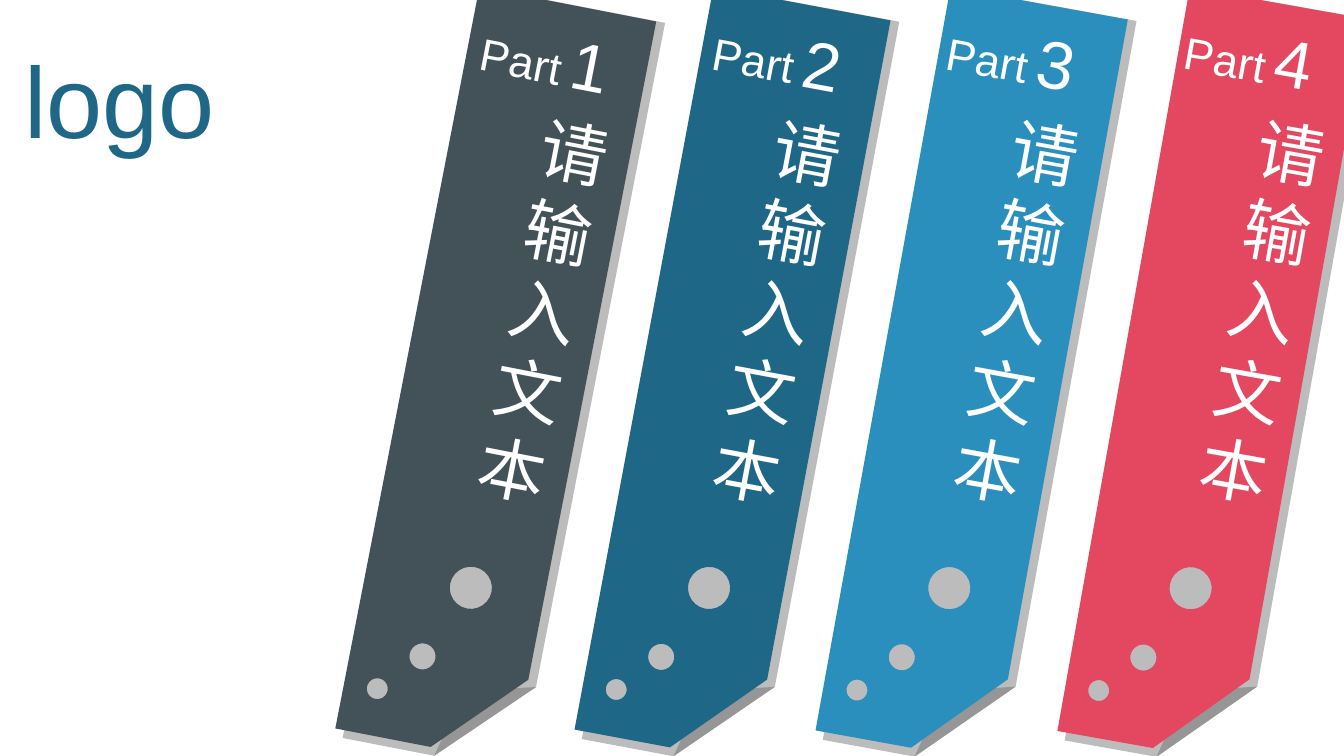
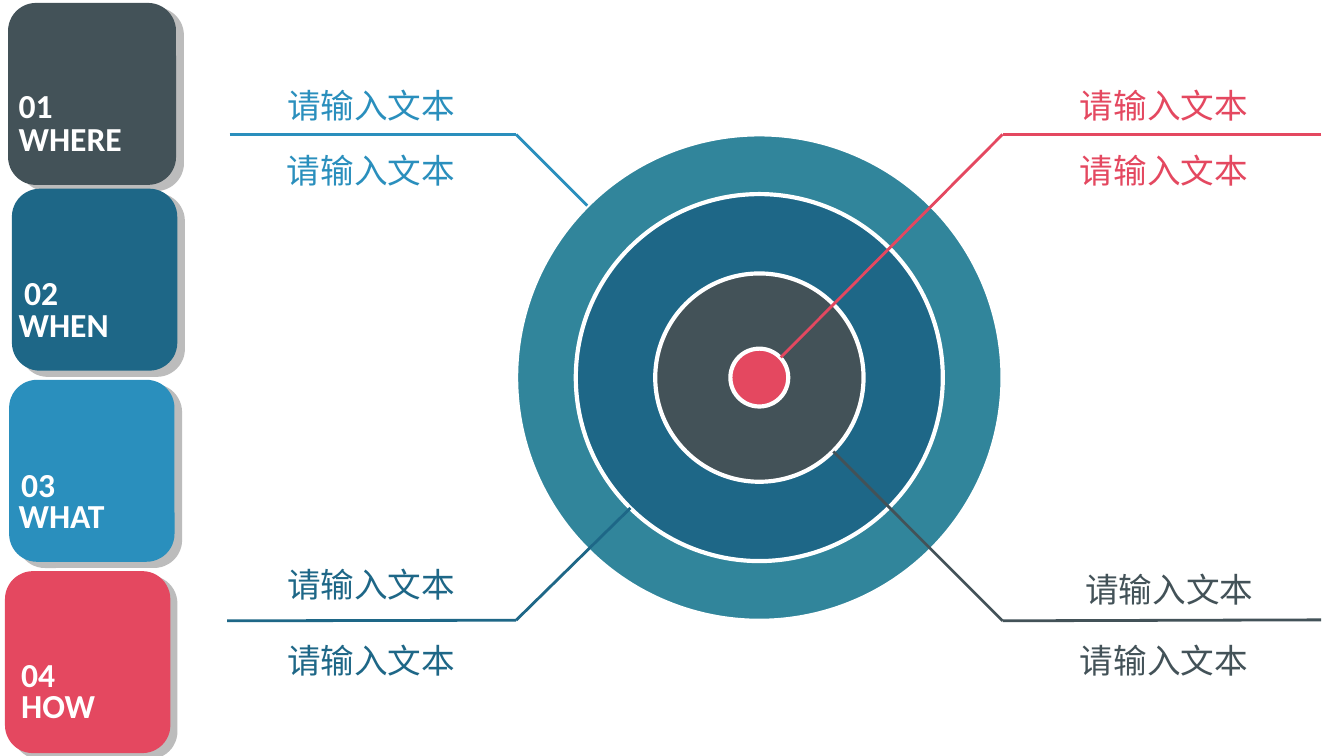
from dataclasses import dataclass
from itertools import pairwise
from typing import Any

import lxml.etree
import pptx
import pptx.dml.color
import pptx.enum.shapes
import pptx.enum.text
import pptx.oxml.ns
import pptx.util

Pt = pptx.util.Pt
RGB = pptx.dml.color.RGBColor
SHAPE = pptx.enum.shapes.MSO_SHAPE
ALIGN = pptx.enum.text.PP_ALIGN
qn = pptx.oxml.ns.qn

SLATE = RGB(0x43, 0x52, 0x58)
NAVY = RGB(0x1E, 0x67, 0x87)
BLUE = RGB(0x2A, 0x8F, 0xBD)
RED = RGB(0xE4, 0x48, 0x60)
TEAL = RGB(0x31, 0x85, 0x9B)
GREY = RGB(0xBC, 0xBC, 0xBC)
WHITE = RGB(0xFF, 0xFF, 0xFF)

HAN_FONT = "Noto Sans CJK SC"
PROMPT = "请输入文本"
HAN_LINE = 1.2

RIBBON_WIDTH, RIBBON_HEIGHT, RIBBON_TOP = 96.5, 404.6, -1.4
RIBBON_OUTLINE = [(0, 0), (RIBBON_WIDTH, 0), (RIBBON_WIDTH, 359.3), (52, RIBBON_HEIGHT), (0, RIBBON_HEIGHT)]
RIBBON_HOLES = [(18, 379.4, 5.6), (38.5, 357.8, 7), (56.9, 316.8, 11.3)]
FOLD = 48200

CARD_HEIGHT, CARD_RADIUS = 97.5, 15
SHADOW_WIDTH, SHADOW_HEIGHT = 88.5, 98.5
TARGET_X, TARGET_Y = 406.8, 202.3


@dataclass(frozen=True)
class Box:
    left: float
    top: float
    width: float
    height: float

    def lengths(self) -> list[pptx.util.Length]:
        return [Pt(v) for v in (self.left, self.top, self.width, self.height)]


@dataclass(frozen=True)
class Ribbon:
    number: str
    left: float
    angle: float
    part_left: float
    part_top: float
    prompt_left: float
    color: RGB


@dataclass(frozen=True)
class Card:
    number: str
    word: str
    box: Box
    shadow_left: float
    number_at: tuple[float, float]
    word_at: tuple[float, float]
    color: RGB


@dataclass(frozen=True)
class Leader:
    points: list[tuple[float, float]]
    prompts: list[Box]
    color: RGB


RIBBONS = [
    Ribbon("1", 217.4, 11, 250.6, 6.4, 262.1, SLATE),
    Ribbon("2", 344.2, 10.6, 375.1, 5.8, 387.4, NAVY),
    Ribbon("3", 472.3, 10.3, 500.4, 5.5, 515.5, BLUE),
    Ribbon("4", 601.2, 10.1, 627.8, 5.2, 647.3, RED),
]

CARDS = [
    Card("01", "WHERE", Box(4.3, 1.6, 90, CARD_HEIGHT), 10.1, (2.9, 41.8), (2.9, 59.8), SLATE),
    Card("02", "WHEN", Box(6.4, 101.1, 88.6, CARD_HEIGHT), 10.6, (5.8, 142.3), (2.9, 159.2), NAVY),
    Card("03", "WHAT", Box(4.9, 203.5, 88.6, CARD_HEIGHT), 9.1, (4.3, 244.8), (2.9, 261.4), BLUE),
    Card("04", "HOW", Box(2.7, 306, 88.6, CARD_HEIGHT), 6.6, (4.3, 347), (4.3, 363.6), RED),
]

RINGS = [(260.6, TEAL), (196.6, NAVY), (111.6, SLATE), (31, RED)]

LEADERS = [
    Leader([(123.1, 72), (276.5, 72), (314.6, 110.2)],
           [Box(99.4, 41.8, 198.7, 28.8), Box(108, 77, 181.4, 28.8)], BLUE),
    Leader([(707.8, 72), (537.1, 72), (418.3, 191.5)],
           [Box(524.2, 41.8, 198.7, 28.8), Box(532.8, 77, 181.4, 28.8)], RED),
    Leader([(121.7, 332.6), (276.5, 332.3), (337.7, 272.2)],
           [Box(99.4, 298.8, 198.7, 28.8), Box(99.4, 339.1, 198.7, 28.8)], NAVY),
    Leader([(707.8, 332.1), (537.1, 332.6), (446.4, 241.9)],
           [Box(535.7, 301, 181.4, 28.8), Box(524.2, 339.1, 198.7, 28.8)], SLATE),
]


def paint(shape: Any, fill: RGB, line: RGB | None = None) -> None:
    shape.shadow.inherit = False
    shape.fill.solid()
    shape.fill.fore_color.rgb = fill
    if line is None:
        shape.line.fill.background()
    else:
        shape.line.color.rgb = line
        shape.line.width = Pt(2.25)


def write(shapes: Any, box: Box, runs: list[tuple[str, float]], font: str, color: RGB,
          bold: bool = False, align: Any = ALIGN.LEFT, angle: float = 0) -> Any:
    textbox = shapes.add_textbox(*box.lengths())
    textbox.rotation = angle
    frame = textbox.text_frame
    frame.word_wrap = True
    paragraph = frame.paragraphs[0]
    paragraph.alignment = align
    for text, size in runs:
        run = paragraph.add_run()
        run.text = text
        run.font.color.rgb = color
        for key, value in {"name": font, "size": Pt(size), "bold": bold}.items():
            setattr(run.font, key, value)
        lxml.etree.SubElement(run.font._element, qn("a:ea"), typeface=font)
    return paragraph


def write_prompt(shapes: Any, box: Box, size: float, color: RGB, angle: float = 0) -> None:
    paragraph = write(shapes, box, [(PROMPT, size)], HAN_FONT, color, align=ALIGN.CENTER, angle=angle)
    paragraph.line_spacing = Pt(size * HAN_LINE)


def punch_hole(outline: Any, x: float, y: float, radius: float) -> None:
    start = lxml.etree.SubElement(outline, qn("a:moveTo"))
    lxml.etree.SubElement(start, qn("a:pt"), x=str(Pt(x + radius)), y=str(Pt(y)))
    reach = str(Pt(radius))
    lxml.etree.SubElement(outline, qn("a:arcTo"), wR=reach, hR=reach, stAng="0", swAng="-21600000")
    lxml.etree.SubElement(outline, qn("a:close"))


def draw_ribbon(slide: Any, ribbon: Ribbon) -> None:
    shapes = slide.shapes.add_group_shape().shapes
    backing = shapes.add_shape(
        SHAPE.FOLDED_CORNER, *Box(ribbon.left + 4.3, -0.7, RIBBON_WIDTH, 409).lengths())
    guides = next(backing._element.iter(qn("a:avLst")))
    for guide in list(guides):
        guides.remove(guide)
    lxml.etree.SubElement(guides, qn("a:gd"), name="adj", fmla=f"val {FOLD}")
    paint(backing, GREY)
    corners = [(Pt(ribbon.left + x), Pt(RIBBON_TOP + y)) for x, y in RIBBON_OUTLINE]
    builder = shapes.build_freeform(*corners[0])
    builder.add_line_segments(corners[1:], close=True)
    front = builder.convert_to_shape()
    paint(front, ribbon.color)
    outline = next(front._element.iter(qn("a:path")))
    for hole in RIBBON_HOLES:
        punch_hole(outline, *hole)
    for strip in (backing, front):
        strip.rotation = ribbon.angle
    write(shapes, Box(ribbon.part_left, ribbon.part_top, 100.8, 50.4),
          [("Part", 24), (" ", 18), (ribbon.number, 36)], "Arial", WHITE, angle=ribbon.angle)
    write_prompt(shapes, Box(ribbon.prompt_left, 54.7, 58.3, 223.2), 36, WHITE, ribbon.angle)


def draw_card(slide: Any, card: Card) -> None:
    shapes = slide.shapes.add_group_shape().shapes
    shadow = Box(card.shadow_left, card.box.top + 2.3, SHADOW_WIDTH, SHADOW_HEIGHT)
    for box, color in ((shadow, GREY), (card.box, card.color)):
        plate = shapes.add_shape(SHAPE.ROUNDED_RECTANGLE, *box.lengths())
        plate.adjustments[0] = CARD_RADIUS / box.width
        paint(plate, color)
    for text, place, width in ((card.number, card.number_at, 41), (card.word, card.word_at, 88.6)):
        write(shapes, Box(*place, width, 28.8), [(text, 18)], "Calibri", WHITE, bold=True)


def draw_ring(slide: Any, diameter: float, color: RGB) -> None:
    box = Box(TARGET_X - diameter / 2, TARGET_Y - diameter / 2, diameter, diameter)
    paint(slide.shapes.add_shape(SHAPE.OVAL, *box.lengths()), color, WHITE)


def draw_leader(slide: Any, leader: Leader) -> None:
    for start, end in pairwise(leader.points):
        segment = slide.shapes.add_connector(
            pptx.enum.shapes.MSO_CONNECTOR.STRAIGHT, *(Pt(v) for v in start + end))
        segment.line.color.rgb = leader.color
        segment.line.width = Pt(1.5)
        lxml.etree.SubElement(segment._element.spPr, qn("a:effectLst"))
    for box in leader.prompts:
        write_prompt(slide.shapes, box, 18, leader.color)


def main() -> None:
    deck = pptx.Presentation()
    deck.slide_width, deck.slide_height = Pt(720), Pt(405)
    blank = deck.slide_layouts[6]

    contents = deck.slides.add_slide(blank)
    for ribbon in RIBBONS:
        draw_ribbon(contents, ribbon)
    write(contents.shapes, Box(5.8, 16.6, 206.6, 72), [("logo", 54)], "Arial", NAVY)

    target = deck.slides.add_slide(blank)
    for card in CARDS:
        draw_card(target, card)
    for diameter, color in RINGS:
        draw_ring(target, diameter, color)
    for leader in LEADERS:
        draw_leader(target, leader)

    deck.save("out.pptx")


if __name__ == "__main__":
    main()
